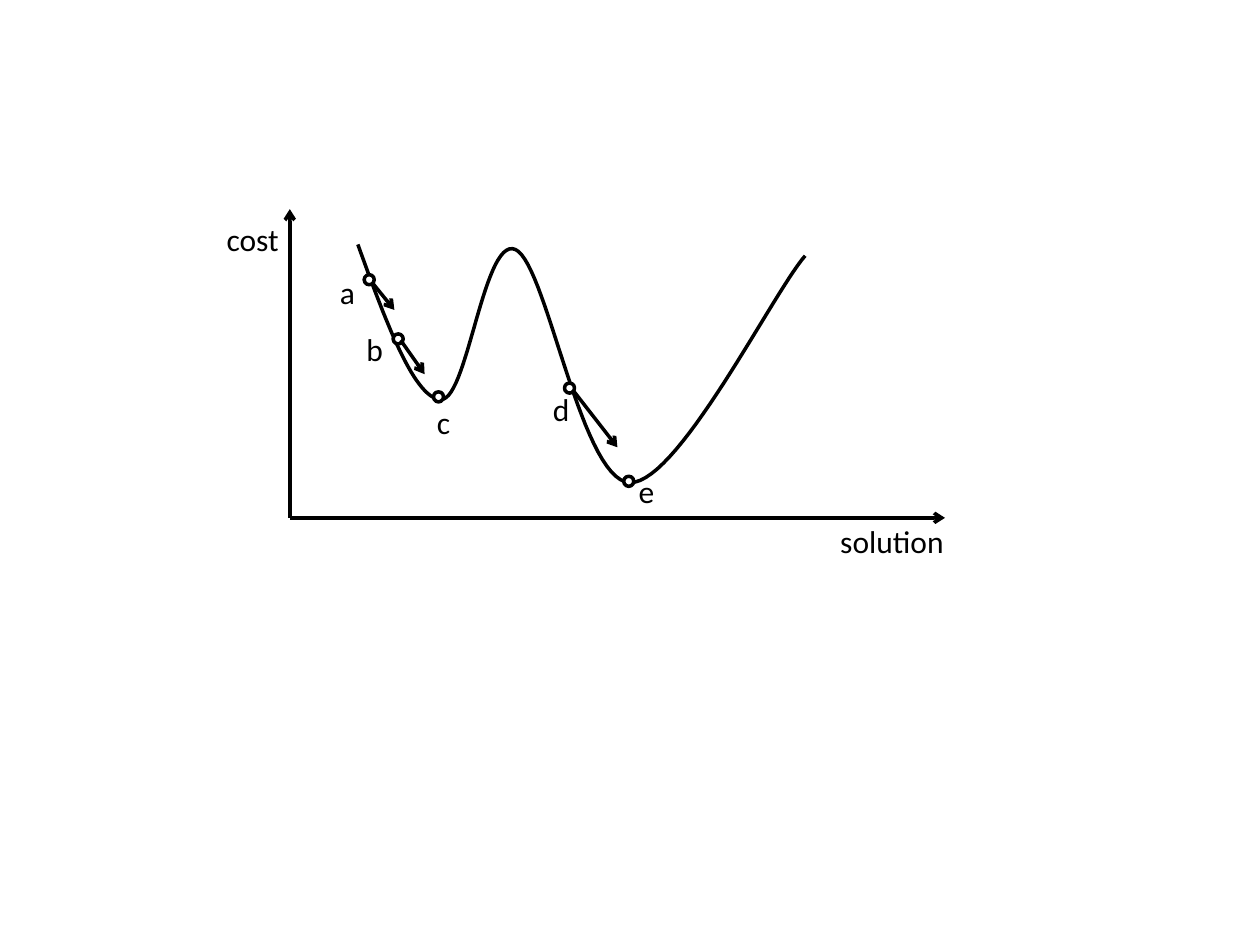
from lxml import etree
from pptx import Presentation
from pptx.dml.color import RGBColor
from pptx.enum.shapes import MSO_CONNECTOR, MSO_SHAPE
from pptx.oxml.ns import qn
from pptx.util import Inches, Pt

BLACK, WHITE = "000000", "FFFFFF"
LINE_WIDTH = 2
MARKER_SIZE = 0.08
LABEL_HEIGHT = 0.4
CURVE_STEPS = 30

LABELS = [
    ("d", 4.29, 3.05, 0.24),
    ("a", 2.6, 2.12, 0.24),
    ("c", 3.37, 3.15, 0.24),
    ("b", 2.81, 2.57, 0.24),
    ("e", 4.97, 3.7, 0.24),
    ("cost", 1.7, 1.7, 0.63),
    ("solution", 6.57, 4.09, 1.08),
]
ORIGIN = (2.3, 4.11)
AXIS_ENDS = [(7.5, 4.11), (2.3, 1.66)]
CURVE_START = (2.84, 1.94)
CURVE_SEGMENTS = [
    ((3.06, 2.55), (3.29, 3.17), (3.5, 3.17)),
    ((3.71, 3.18), (3.84, 1.87), (4.09, 1.98)),
    ((4.34, 2.09), (4.61, 3.82), (5, 3.83)),
    ((5.38, 3.84), (6.13, 2.33), (6.39, 2.03)),
]
MARKERS = [(3.44, 3.11), (2.89, 2.18), (4.95, 3.78), (3.12, 2.65), (4.48, 3.04)]
DESCENTS = [
    ((2.96, 2.25), (3.13, 2.46)),
    ((4.55, 3.1), (4.9, 3.55)),
    ((3.18, 2.7), (3.37, 2.97)),
]


def color(hex_string):
    return RGBColor.from_string(hex_string)


def style_line(line):
    line.color.rgb = color(BLACK)
    line.width = Pt(LINE_WIDTH)


def style_shape(shape):
    shape.shadow.inherit = False
    shape.fill.solid()
    shape.fill.fore_color.rgb = color(WHITE)
    style_line(shape.line)


def add_label(slide, text, left, top, width):
    box = slide.shapes.add_textbox(
        Inches(left), Inches(top), Inches(width), Inches(LABEL_HEIGHT))
    box.fill.solid()
    box.fill.fore_color.rgb = color(WHITE)
    box.text_frame.word_wrap = True
    run = box.text_frame.paragraphs[0].add_run()
    run.text = text
    run.font.name = "Calibri"
    run.font.size = Pt(18)
    run.font.color.rgb = color(BLACK)


def add_arrow(slide, start, end):
    arrow = slide.shapes.add_connector(
        MSO_CONNECTOR.STRAIGHT, *(Inches(v) for v in (*start, *end)))
    style_line(arrow.line)
    properties = arrow._element.spPr
    outline = properties.find(qn("a:ln"))
    etree.SubElement(outline, qn("a:tailEnd"), type="arrow")
    etree.SubElement(properties, qn("a:effectLst"))


def bezier_point(points, t):
    weights = ((1 - t) ** 3, 3 * t * (1 - t) ** 2, 3 * t * t * (1 - t), t ** 3)
    return tuple(
        Inches(sum(w * p[axis] for w, p in zip(weights, points)))
        for axis in (0, 1))


def add_curve(slide, start, segments):
    builder = slide.shapes.build_freeform(*(Inches(v) for v in start))
    for segment in segments:
        points = (start, *segment)
        builder.add_line_segments(
            [bezier_point(points, i / CURVE_STEPS)
             for i in range(1, CURVE_STEPS + 1)], close=False)
        start = segment[-1]
    style_shape(builder.convert_to_shape())


def add_marker(slide, left, top):
    size = Inches(MARKER_SIZE)
    style_shape(slide.shapes.add_shape(
        MSO_SHAPE.OVAL, Inches(left), Inches(top), size, size))


def main():
    presentation = Presentation()
    presentation.slide_width = Inches(10)
    presentation.slide_height = Inches(7.5)
    slide = presentation.slides.add_slide(presentation.slide_layouts[6])
    for label in LABELS:
        add_label(slide, *label)
    for end in AXIS_ENDS:
        add_arrow(slide, ORIGIN, end)
    add_curve(slide, CURVE_START, CURVE_SEGMENTS)
    for marker in MARKERS:
        add_marker(slide, *marker)
    for start, end in DESCENTS:
        add_arrow(slide, start, end)
    presentation.save("out.pptx")


main()
